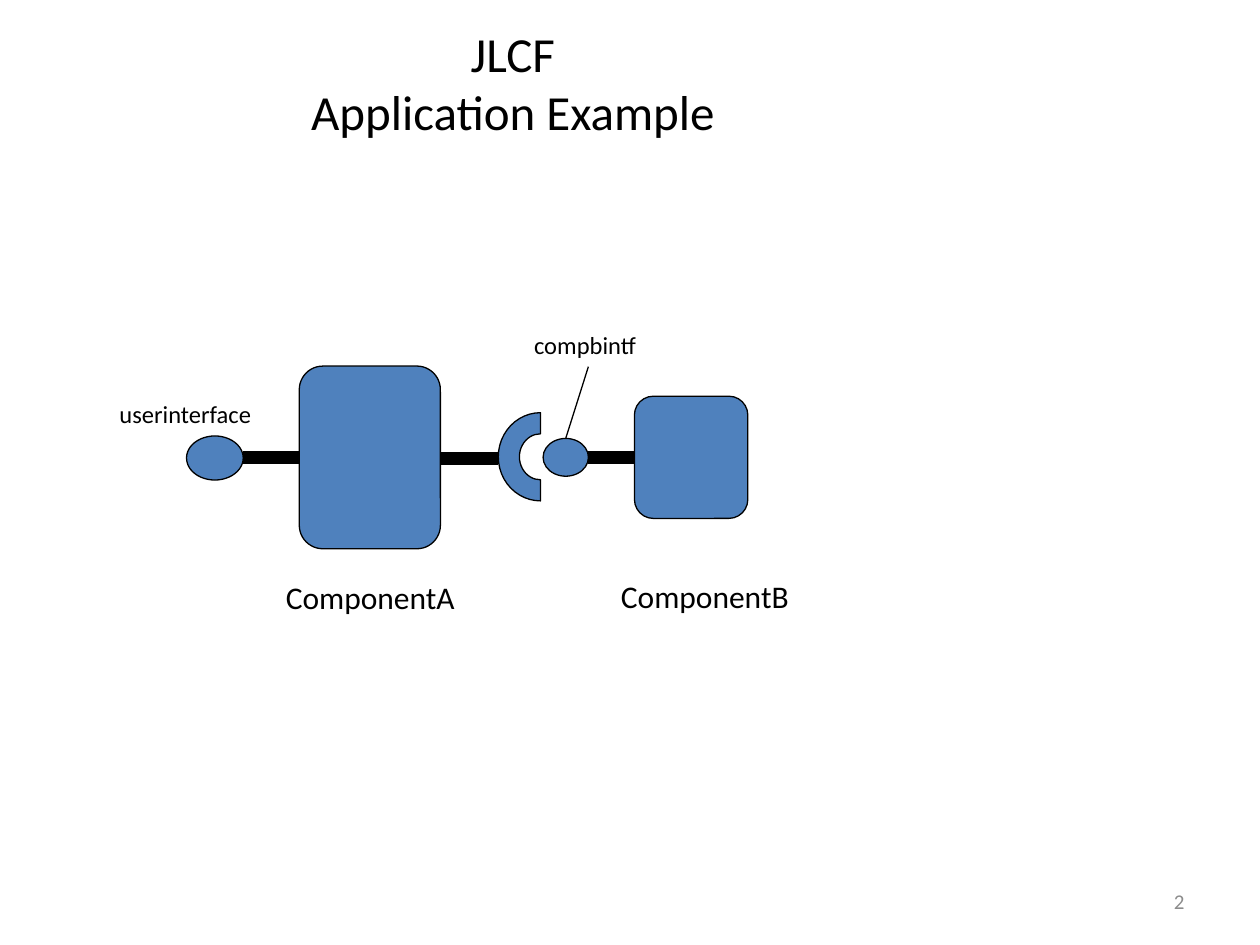
import pptx
import pptx.dml.color
import pptx.enum.shapes
import pptx.enum.text
import pptx.util
import pptx.oxml.ns
import lxml.etree

Inches = pptx.util.Inches
Pt = pptx.util.Pt
Kind = pptx.enum.shapes.MSO_SHAPE
Align = pptx.enum.text.PP_ALIGN
Anchor = pptx.enum.text.MSO_ANCHOR
AutoSize = pptx.enum.text.MSO_AUTO_SIZE


def color(hex_code):
    """Turn a hex string into a colour."""
    return pptx.dml.color.RGBColor.from_string(hex_code)


def write(frame, text, size=18, ink="000000", font="Calibri",
          align=Align.LEFT, anchor=Anchor.TOP, wrap=True):
    """Put formatted text in a frame; a vertical tab breaks the line."""
    frame.word_wrap = wrap
    frame.auto_size = AutoSize.NONE if wrap else AutoSize.SHAPE_TO_FIT_TEXT
    frame.vertical_anchor = anchor
    paragraph = frame.paragraphs[0]
    paragraph.text = text
    paragraph.alignment = align
    for run in paragraph.runs:
        run.font.name = font
        run.font.size = Pt(size)
        run.font.color.rgb = color(ink)


class Diagram:
    """Holds the diagram style and the slide it is drawn on."""

    fill = "4F81BD"
    outline = "000000"
    thin = 0.75
    thick = 7.2

    def __init__(self, slide):
        """Keep the slide to draw on."""
        self.slide = slide

    def text(self, left, top, width, height, words, **style):
        """Add a text box."""
        box = self.slide.shapes.add_textbox(
            Inches(left), Inches(top), Inches(width), Inches(height))
        write(box.text_frame, words, **style)

    def shape(self, kind, left, top, width, height, rotation):
        """Add a rotated, filled and outlined preset shape."""
        part = self.slide.shapes.add_shape(
            kind, Inches(left), Inches(top), Inches(width), Inches(height))
        part.rotation = rotation
        part.shadow.inherit = False
        part.fill.solid()
        part.fill.fore_color.rgb = color(self.fill)
        part.line.color.rgb = color(self.outline)
        part.line.width = Pt(self.thin)

    def line(self, x1, y1, x2, y2, weight):
        """Add a straight line without a shadow."""
        link = self.slide.shapes.add_connector(
            pptx.enum.shapes.MSO_CONNECTOR.STRAIGHT,
            Inches(x1), Inches(y1), Inches(x2), Inches(y2))
        link.line.color.rgb = color(self.outline)
        link.line.width = Pt(weight)
        lxml.etree.SubElement(link.element.spPr,
                              pptx.oxml.ns.qn("a:effectLst"))


deck = pptx.Presentation()
deck.slide_width, deck.slide_height = Inches(10), Inches(7.5)
diagram = Diagram(deck.slides.add_slide(deck.slide_layouts[6]))

diagram.text(7.17, 6.95, 2.33, 0.4, "2", size=12, ink="8C8C8C",
             align=Align.RIGHT, anchor=Anchor.MIDDLE)
diagram.text(0.68, 0.13, 6.78, 1.04, "JLCF\vApplication Example", size=28,
             align=Align.CENTER, anchor=Anchor.MIDDLE)

# ComponentB with its provided interface
diagram.shape(Kind.ROUNDED_RECTANGLE, 5, 3.18, 0.97, 0.9, 90)
diagram.shape(Kind.OVAL, 4.34, 3.45, 0.3, 0.36, 90)
diagram.line(5.03, 3.63, 4.67, 3.63, diagram.thick)

# ComponentA with its required socket and its user interface
diagram.line(3.5, 3.64, 3.95, 3.64, diagram.thick)
diagram.shape(Kind.ROUNDED_RECTANGLE, 2.21, 3.07, 1.45, 1.12, 270)
diagram.shape(Kind.BLOCK_ARC, 3.94, 3.29, 0.7, 0.67, 270)
diagram.shape(Kind.OVAL, 1.53, 3.41, 0.35, 0.45, 90)
diagram.line(2.38, 3.63, 1.93, 3.63, diagram.thick)

for name, left, top, width, height, size in (
        ("ComponentA", 2.17, 4.54, 1.67, 0.4, 18),
        ("ComponentB", 4.83, 4.53, 1.67, 0.4, 18),
        ("userinterface", 0.85, 3.12, 1.33, 0.34, 14),
        ("compbintf", 4.14, 2.57, 1.05, 0.34, 14)):
    diagram.text(left, top, width, height, name, size=size, wrap=False)
diagram.line(4.49, 3.48, 4.67, 2.91, diagram.thin)

deck.save("out.pptx")
